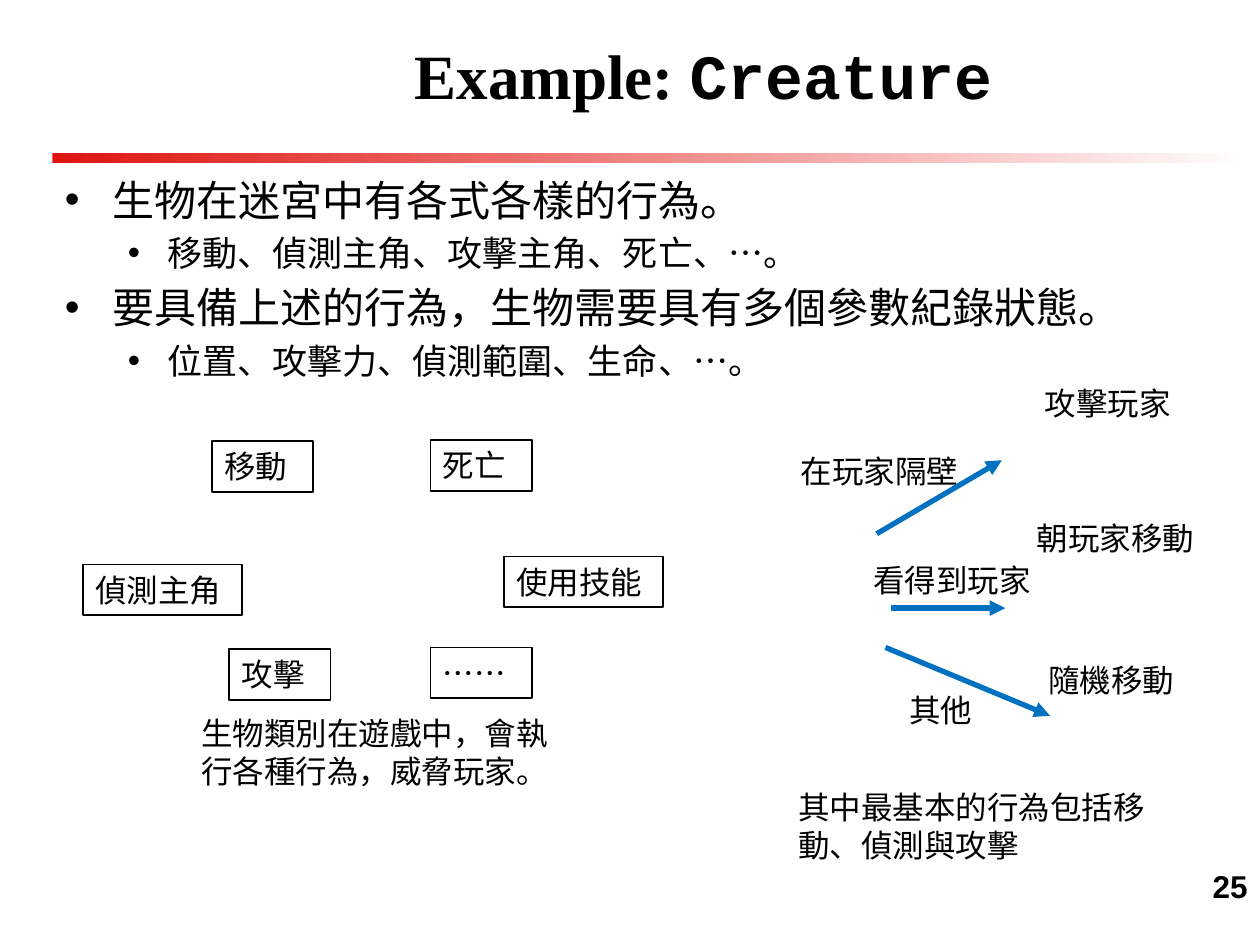
from dataclasses import dataclass

from pptx import Presentation
from pptx import util as u
from pptx.dml.color import RGBColor
from pptx.enum import shapes, text
from pptx.oxml import ns, xmlchemy


@dataclass(frozen=True)
class Theme:
    ink: str = "000000"
    accent: str = "DF140F"
    paper: str = "FFFFFF"
    arrow: str = "0070C0"
    serif: str = "Times New Roman"
    mono: str = "Courier New"
    sans: str = "Arial"
    cjk: str = "Noto Sans CJK SC"
    title: int = 36
    levels: tuple = (24, 20)
    label: int = 18


def color(value):
    return RGBColor.from_string(value)


def add_element(parent, tag, **attributes):
    element = xmlchemy.OxmlElement(tag)
    for key, value in attributes.items():
        element.set(key, value)
    parent.append(element)


class Sketch:
    def __init__(self, slide, theme):
        self.slide = slide
        self.theme = theme

    def run(self, paragraph, words, size, font, bold=False):
        run = paragraph.add_run()
        run.text = words
        run.font.size = u.Pt(size)
        run.font.name = font
        run.font.bold = bold
        run.font.color.rgb = color(self.theme.ink)
        add_element(run.font._element, "a:ea", typeface=self.theme.cjk)

    def frame(self, left, top, width, height, wrap=True):
        area = self.slide.shapes.add_textbox(*map(u.Pt, (left, top, width, height)))
        area.text_frame.word_wrap = wrap
        return area.text_frame

    def rule(self, left, top, width, height):
        bar = self.slide.shapes.add_shape(
            shapes.MSO_SHAPE.RECTANGLE, *map(u.Pt, (left, top, width, height)))
        bar.shadow.inherit = False
        bar.line.fill.background()
        bar.fill.gradient()
        bar.fill.gradient_angle = 0
        ends = (self.theme.accent, self.theme.paper)
        for stop, position, shade in zip(bar.fill.gradient_stops, (0, 1), ends):
            stop.position = position
            stop.color.rgb = color(shade)

    def title(self, parts, *place):
        frame = self.frame(*place)
        frame.vertical_anchor = text.MSO_ANCHOR.MIDDLE
        heading = frame.paragraphs[0]
        heading.alignment = text.PP_ALIGN.CENTER
        for words, font in parts:
            self.run(heading, words, self.theme.title, font, bold=True)

    def bullets(self, items, *place):
        frame = self.frame(*place)
        indents = ((27, -27), (58.5, -22.5))
        for index, (level, words) in enumerate(items):
            item = frame.add_paragraph() if index else frame.paragraphs[0]
            size = self.theme.levels[level]
            item.level = level
            item.space_before = u.Pt(0.2 * size if index else 0)
            margin, hang = indents[level]
            properties = item._p.get_or_add_pPr()
            properties.set("marL", str(u.Pt(margin)))
            properties.set("indent", str(u.Pt(hang)))
            add_element(properties, "a:buFont", typeface=self.theme.sans)
            add_element(properties, "a:buChar", char="•")
            self.run(item, words, size, self.theme.cjk)

    def label(self, words, left, top, width):
        frame = self.frame(left, top, width, 29, wrap=False)
        self.run(frame.paragraphs[0], words, self.theme.label, self.theme.serif)

    def caption(self, words, left, top):
        frame = self.frame(left, top, 214, 51)
        self.run(frame.paragraphs[0], words, self.theme.label, self.theme.cjk)

    def page_number(self, number, *place):
        line = self.frame(*place).paragraphs[0]
        line.alignment = text.PP_ALIGN.RIGHT
        self.run(line, number, self.theme.label, self.theme.sans, bold=True)

    def behaviour(self, words, left, top, width):
        box = self.slide.shapes.add_shape(
            shapes.MSO_SHAPE.RECTANGLE, *map(u.Pt, (left, top, width, 29)))
        box.shadow.inherit = False
        box.fill.background()
        box.line.color.rgb = color(self.theme.ink)
        box.line.width = u.Pt(1)
        frame = box.text_frame
        frame.word_wrap = True
        frame.vertical_anchor = text.MSO_ANCHOR.TOP
        line = frame.paragraphs[0]
        line.alignment = text.PP_ALIGN.LEFT
        self.run(line, words, self.theme.label, self.theme.cjk)

    def arrow(self, *ends):
        arrow = self.slide.shapes.add_connector(
            shapes.MSO_CONNECTOR.STRAIGHT, *map(u.Pt, ends))
        arrow.line.color.rgb = color(self.theme.arrow)
        arrow.line.width = u.Pt(3)
        add_element(arrow.line._get_or_add_ln(), "a:tailEnd", type="triangle")
        add_element(arrow._element.find(ns.qn("p:spPr")), "a:effectLst")


def main():
    deck = Presentation()
    deck.slide_width, deck.slide_height = u.Pt(720), u.Pt(540)
    theme = Theme()
    sketch = Sketch(deck.slides.add_slide(deck.slide_layouts[6]), theme)

    sketch.rule(30, 87.4, 684, 5.8)
    sketch.title([("Example: ", theme.serif), ("Creature", theme.mono)],
                 84, 0, 636, 85)
    sketch.bullets([
        (0, "生物在迷宮中有各式各樣的行為。"),
        (1, "移動、偵測主角、攻擊主角、死亡、…。"),
        (0, "要具備上述的行為，生物需要具有多個參數紀錄狀態。"),
        (1, "位置、攻擊力、偵測範圍、生命、…。"),
    ], 30, 96, 672, 144)
    sketch.page_number("25", 570, 492, 150, 18)

    short, long = 58, 91
    for behaviour in (
        ("移動", 121, 252, short),
        ("偵測主角", 47.5, 322.5, long),
        ("攻擊", 131, 371, short),
        ("死亡", 246, 251.5, short),
        ("使用技能", 288, 318, long),
        ("……", 246, 370, short),
    ):
        sketch.behaviour(*behaviour)
    sketch.caption("生物類別在遊戲中，會執行各種行為，威脅玩家。", 108, 404.5)

    for condition, condition_place, arrow, action, action_place in (
        ("在玩家隔壁", (450.5, 255, 105), (501, 305, 572.5, 263),
         "攻擊玩家", (590, 216, 87)),
        ("看得到玩家", (492, 317, 105), (509, 347.5, 574.5, 347.5),
         "朝玩家移動", (585.5, 293, 105)),
        ("其他", (512.5, 391.5, 51), (506, 370, 600, 409),
         "隨機移動", (592, 374, 87)),
    ):
        sketch.label(condition, *condition_place)
        sketch.arrow(*arrow)
        sketch.label(action, *action_place)
    sketch.caption("其中最基本的行為包括移動、偵測與攻擊", 449, 447)

    deck.save("out.pptx")


if __name__ == "__main__":
    main()
